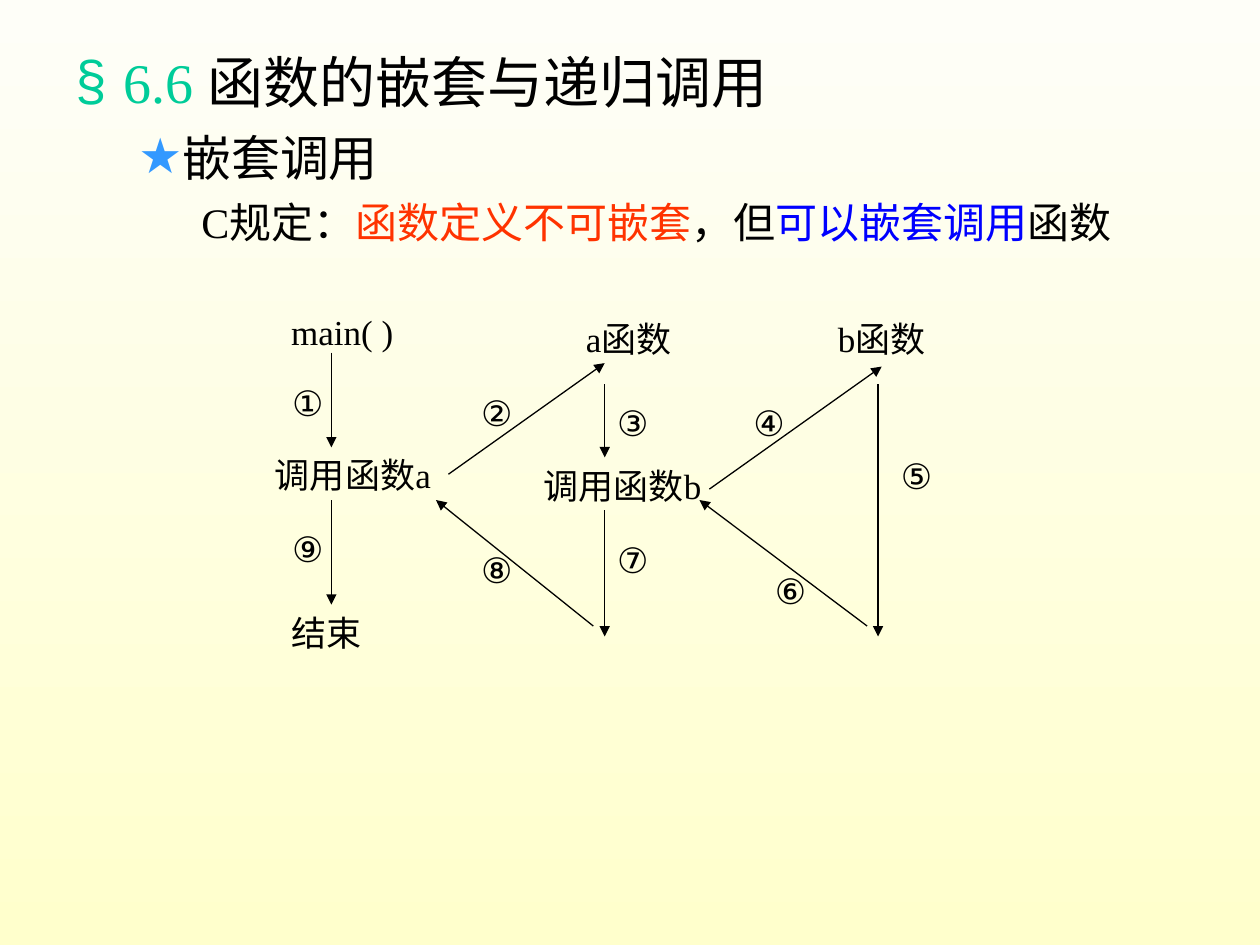
from dataclasses import dataclass

from lxml import etree
from pptx import Presentation
from pptx.dml.color import RGBColor
from pptx.enum.shapes import MSO_CONNECTOR
from pptx.enum.text import MSO_ANCHOR, MSO_AUTO_SIZE, PP_ALIGN
from pptx.oxml.ns import qn
from pptx.util import Cm, Pt

STRAIGHT = MSO_CONNECTOR.STRAIGHT
MIDDLE = MSO_ANCHOR.MIDDLE
GROW = MSO_AUTO_SIZE.SHAPE_TO_FIT_TEXT
CENTER = PP_ALIGN.CENTER
BOTTOM_SIDE, RIGHT_SIDE = 2, 3


@dataclass(frozen=True)
class Theme:
    ink: str = "000000"
    green: str = "00CC99"
    star: str = "3399FF"
    red: str = "FF3300"
    blue: str = "0000FF"
    sky: str = "FEFEF8"
    cream: str = "FFFFCC"
    serif: str = "Times New Roman"
    sans: str = "Arial"
    title: int = 32
    subtitle: int = 28
    body: int = 24
    label: int = 20
    stroke: float = 0.75


class SlideBuilder:
    """Draws styled elements on one slide."""

    def __init__(self, slide, theme):
        self.slide = slide
        self.theme = theme
        self.diagram = None

    def background(self):
        fill = self.slide.background.fill
        fill.gradient()
        fill.gradient_angle = 270
        colours = (self.theme.sky, self.theme.cream)
        for stop, position, colour in zip(fill.gradient_stops, (0, 1), colours):
            stop.position = position
            stop.color.rgb = RGBColor.from_string(colour)

    def start_diagram(self):
        self.diagram = self.slide.shapes.add_group_shape()

    def run(self, paragraph, text, size, colour, font):
        run = paragraph.add_run()
        run.text = text
        run.font.size = Pt(size)
        run.font.name = font
        run.font.color.rgb = RGBColor.from_string(colour)

    def bullet(self, paragraph, mark, colour):
        properties = paragraph._p.get_or_add_pPr()
        holder = etree.SubElement(properties, qn("a:buClr"))
        etree.SubElement(holder, qn("a:srgbClr"), val=colour)
        etree.SubElement(properties, qn("a:buFont"), typeface=self.theme.sans)
        etree.SubElement(properties, qn("a:buChar"), char=mark)

    def outline(self, left, top, width, height, levels):
        frame = self.slide.shapes.add_textbox(
            Cm(left), Cm(top), Cm(width), Cm(height)).text_frame
        frame.word_wrap = True
        for depth, (margin, hanging, before, size, bullet, runs) in enumerate(levels):
            paragraph = frame.add_paragraph() if depth else frame.paragraphs[0]
            paragraph.level = depth
            properties = paragraph._p.get_or_add_pPr()
            properties.set("marL", str(Cm(margin)))
            properties.set("indent", str(-Cm(hanging)))
            if before:
                paragraph.space_before = Pt(before)
            if bullet:
                self.bullet(paragraph, *bullet)
            for text, colour in runs:
                self.run(paragraph, text, size, colour, self.theme.serif)

    def label(self, text, left, top, width, font):
        box = self.diagram.shapes.add_textbox(Cm(left), Cm(top), Cm(width), Cm(1.12))
        frame = box.text_frame
        frame.word_wrap = False
        frame.auto_size = GROW
        frame.vertical_anchor = MIDDLE
        paragraph = frame.paragraphs[0]
        paragraph.alignment = CENTER
        self.run(paragraph, text, self.theme.label, self.theme.ink, font)
        return box

    def arrow(self, start, end):
        connector = self.diagram.shapes.add_connector(
            STRAIGHT, *(Cm(value) for value in (*start, *end)))
        connector.line.width = Pt(self.theme.stroke)
        connector.line.color.rgb = RGBColor.from_string(self.theme.ink)
        etree.SubElement(connector.line._get_or_add_ln(), qn("a:tailEnd"), type="triangle")
        etree.SubElement(connector._element.spPr, qn("a:effectLst"))
        return connector


def main():
    presentation = Presentation()
    presentation.slide_width, presentation.slide_height = Cm(25.4), Cm(19.05)
    theme = Theme()
    builder = SlideBuilder(
        presentation.slides.add_slide(presentation.slide_layouts[6]), theme)
    builder.background()

    builder.outline(1.27, 0.84, 23.06, 4.24, [
        (0.97, 0.97, 0, theme.title, ("§", theme.green),
         [("6.6 ", theme.green), ("函数的嵌套与递归调用", theme.ink)]),
        (2.06, 0.79, 7, theme.subtitle, ("★", theme.star),
         [("嵌套调用", theme.ink)]),
        (3.18, 0.64, 6, theme.body, None,
         [("C规定：", theme.ink), ("函数定义不可嵌套", theme.red), ("，但", theme.ink),
          ("可以嵌套调用", theme.blue), ("函数", theme.ink)]),
    ])

    builder.start_diagram()
    stages = {
        text: builder.label(text, left, top, width, theme.serif)
        for text, left, top, width in [
            ("main( )", 5.6, 6.13, 2.6),
            ("调用函数a", 5.19, 9.0, 3.85),
            ("结束", 5.56, 12.19, 2.05),
            ("a函数", 11.4, 6.27, 2.55),
            ("b函数", 16.5, 6.27, 2.55),
            ("调用函数b", 10.6, 9.22, 3.9),
        ]
    }

    main_x, a_x, b_x = 6.68, 12.19, 17.7
    entry_y, body_y, return_y, exit_y = 7.32, 7.75, 10.08, 12.83
    steps = [
        ("①", 5.64, 7.55, (main_x, 7.11), (main_x, 9.02)),
        ("②", 9.45, 7.75, (9.02, 9.65), (a_x, entry_y)),
        ("③", 12.19, 7.95, (a_x, body_y), (a_x, 9.22)),
        ("④", 14.94, 7.95, (14.3, 9.86), (b_x, entry_y)),
        ("⑤", 17.91, 9.02, (b_x, body_y), (b_x, exit_y)),
        ("⑥", 15.37, 11.35, (17.48, 12.62), (14.1, return_y)),
        ("⑦", 12.19, 10.72, (a_x, 10.29), (a_x, exit_y)),
        ("⑧", 9.45, 10.92, (11.96, 12.62), (8.79, return_y)),
        ("⑨", 5.64, 10.49, (main_x, return_y), (main_x, 12.19)),
    ]
    arrows = {}
    for number, left, top, start, end in steps:
        arrows[number] = builder.arrow(start, end)
        builder.label(number, left, top, 1.13, theme.sans)
    arrows["②"].begin_connect(stages["调用函数a"], RIGHT_SIDE)
    arrows["④"].end_connect(stages["b函数"], BOTTOM_SIDE)

    presentation.save("out.pptx")


if __name__ == "__main__":
    main()
